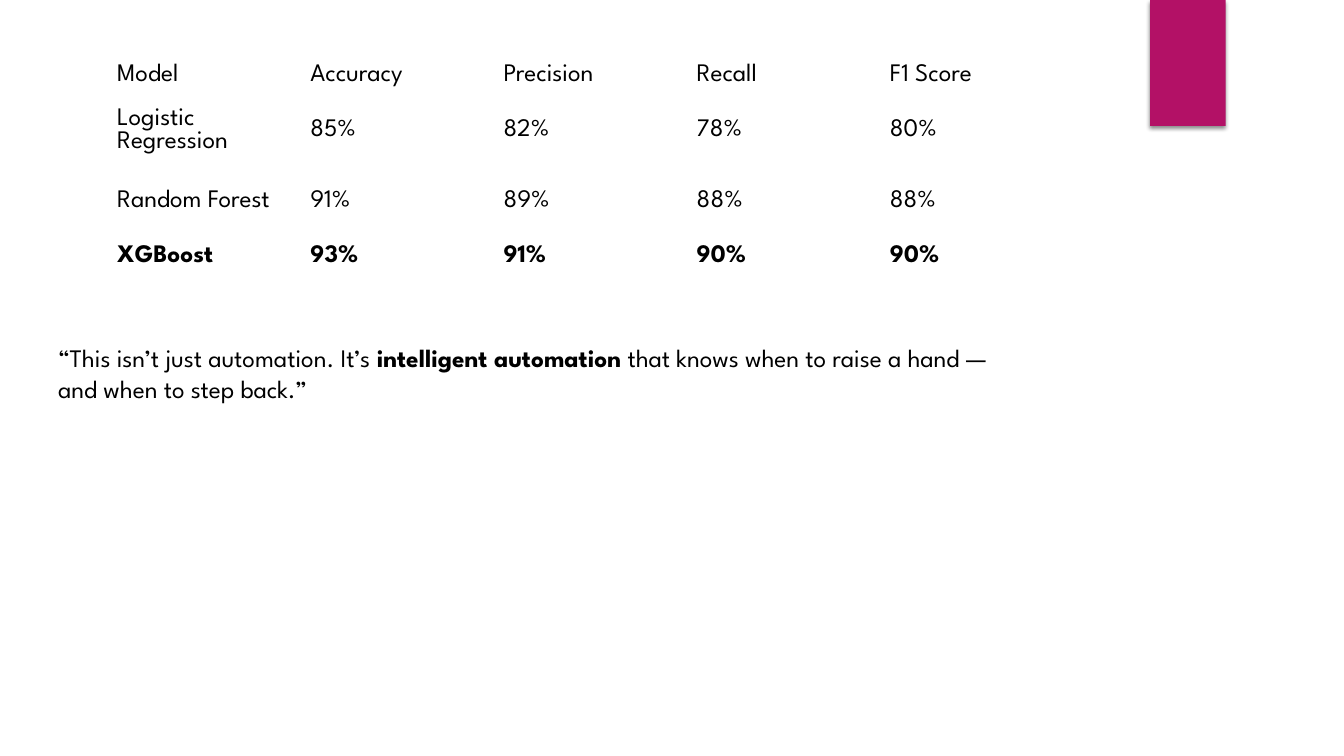
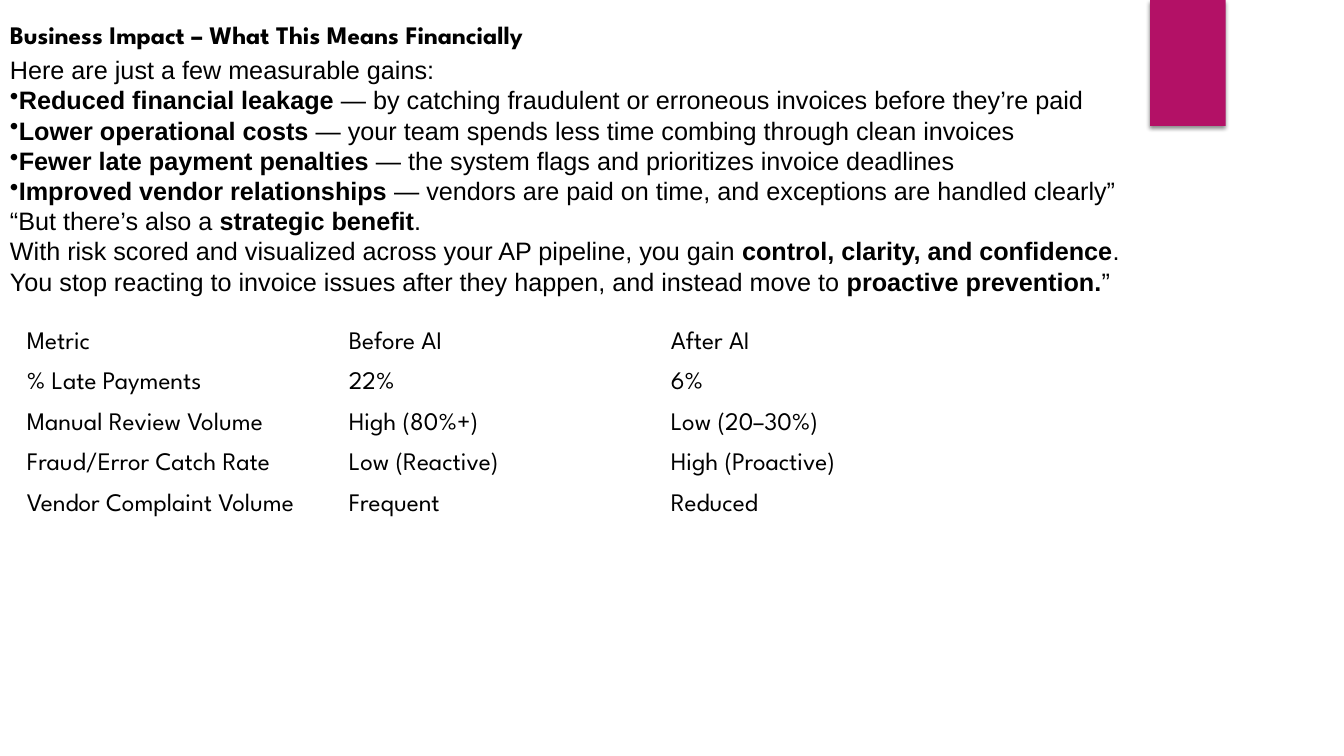
from lxml.etree import SubElement
from pptx import Presentation
from pptx.dml.color import RGBColor
from pptx.enum.shapes import MSO_SHAPE as Shape
from pptx.enum.text import MSO_ANCHOR as Anchor
from pptx.oxml.ns import qn
from pptx.util import Pt

MAGENTA = RGBColor(0xB3, 0x11, 0x66)
BLACK = RGBColor(0, 0, 0)
DISPLAY_FONT = "League Spartan"
BODY_FONT = "Arial"
TEXT_SIZE = 18
TABLE_WIDTH = 690

MODEL_SCORES = [
    ["Model", "Accuracy", "Precision", "Recall", "F1 Score"],
    ["Logistic Regression", "85%", "82%", "78%", "80%"],
    ["Random Forest", "91%", "89%", "88%", "88%"],
    ["**XGBoost**", "**93%**", "**91%**", "**90%**", "**90%**"],
]
QUOTE = ("“This isn’t just automation. It’s **intelligent automation** that knows "
         "when to raise a hand — and when to step back.”")

IMPACT_TITLE = "**Business Impact – What This Means Financially**"
GAINS = [
    "Here are just a few measurable gains:",
    "•**Reduced financial leakage** — by catching fraudulent or erroneous invoices "
    "before they’re paid",
    "•**Lower operational costs** — your team spends less time combing through clean invoices",
    "•**Fewer late payment penalties** — the system flags and prioritizes invoice deadlines",
    "•**Improved vendor relationships** — vendors are paid on time, and exceptions "
    "are handled clearly”",
    "“But there’s also a **strategic benefit**.\n"
    "With risk scored and visualized across your AP pipeline, you gain "
    "**control, clarity, and confidence**.\n"
    "You stop reacting to invoice issues after they happen, and instead move to "
    "**proactive prevention.**”",
]
BEFORE_AFTER = [
    ["Metric", "Before AI", "After AI"],
    ["% Late Payments", "22%", "6%"],
    ["Manual Review Volume", "High (80%+)", "Low (20–30%)"],
    ["Fraud/Error Catch Rate", "Low (Reactive)", "High (Proactive)"],
    ["Vendor Complaint Volume", "Frequent", "Reduced"],
]


class Deck:
    def __init__(self):
        self.prs = Presentation()
        self.prs.slide_width, self.prs.slide_height = Pt(960), Pt(540)
        self.slide = None

    def new_slide(self):
        self.slide = self.prs.slides.add_slide(self.prs.slide_layouts[6])
        self.corner_band()

    def corner_band(self):
        band = self.slide.shapes.add_shape(Shape.RECTANGLE, Pt(821.5), 0, Pt(54), Pt(90))
        band.fill.solid()
        band.fill.fore_color.rgb = MAGENTA
        band.line.fill.background()
        band.shadow.inherit = False
        effects = band.element.spPr.find(qn("a:effectLst"))
        shadow = SubElement(effects, qn("a:outerShdw"), blurRad=str(Pt(3)),
                            dist=str(Pt(2)), dir="5400000", rotWithShape="0")
        color = SubElement(shadow, qn("a:srgbClr"), val=str(BLACK))
        SubElement(color, qn("a:alpha"), val="45000")

    def fill_paragraph(self, paragraph, marked, font):
        """Write text where ** switches bold, a leading • is a bullet and \\n breaks the line."""
        if marked.startswith("•"):
            marked = marked[1:]
            properties = paragraph._p.get_or_add_pPr()
            properties.set("marL", "0")
            properties.set("indent", "0")
            SubElement(properties, qn("a:buChar"), char="•")
        for part, words in enumerate(marked.split("**")):
            for line, text in enumerate(words.split("\n")):
                if line:
                    paragraph.add_line_break()
                if text:
                    run = paragraph.add_run()
                    run.text = text
                    run.font.name = font
                    run.font.size = Pt(TEXT_SIZE)
                    run.font.bold = part % 2 == 1
                    run.font.color.rgb = BLACK
        paragraph.font.size = Pt(TEXT_SIZE)

    def text(self, left, top, width, height, paragraphs, font=DISPLAY_FONT, spacing=22):
        frame = self.slide.shapes.add_textbox(Pt(left), Pt(top), Pt(width), Pt(height)).text_frame
        frame.word_wrap = True
        for index, marked in enumerate(paragraphs):
            paragraph = frame.add_paragraph() if index else frame.paragraphs[0]
            paragraph.line_spacing = Pt(spacing)
            self.fill_paragraph(paragraph, marked, font)

    def table(self, left, top, row_heights, rows):
        columns = len(rows[0])
        table = self.slide.shapes.add_table(len(rows), columns, Pt(left), Pt(top),
                                            Pt(TABLE_WIDTH), Pt(sum(row_heights))).table
        table.first_row = table.horz_banding = False
        for column in table.columns:
            column.width = Pt(TABLE_WIDTH / columns)
        for row, height, values in zip(table.rows, row_heights, rows):
            row.height = Pt(height)
            for cell, value in zip(row.cells, values):
                cell.fill.background()
                cell.vertical_anchor = Anchor.MIDDLE
                self.fill_paragraph(cell.text_frame.paragraphs[0], value, DISPLAY_FONT)


def main():
    deck = Deck()

    deck.new_slide()
    deck.table(76.5, 39.5, [28.8, 50.4, 50.4, 28.8], MODEL_SCORES)
    deck.text(34.5, 240.5, 690, 51, [QUOTE])

    deck.new_slide()
    deck.text(0, 35.3, 960, 180, GAINS, font=BODY_FONT, spacing=21.6)
    deck.table(12, 231, [28.8] * len(BEFORE_AFTER), BEFORE_AFTER)
    deck.text(0, 10, 482, 29, [IMPACT_TITLE])

    deck.prs.save("out.pptx")


if __name__ == "__main__":
    main()
